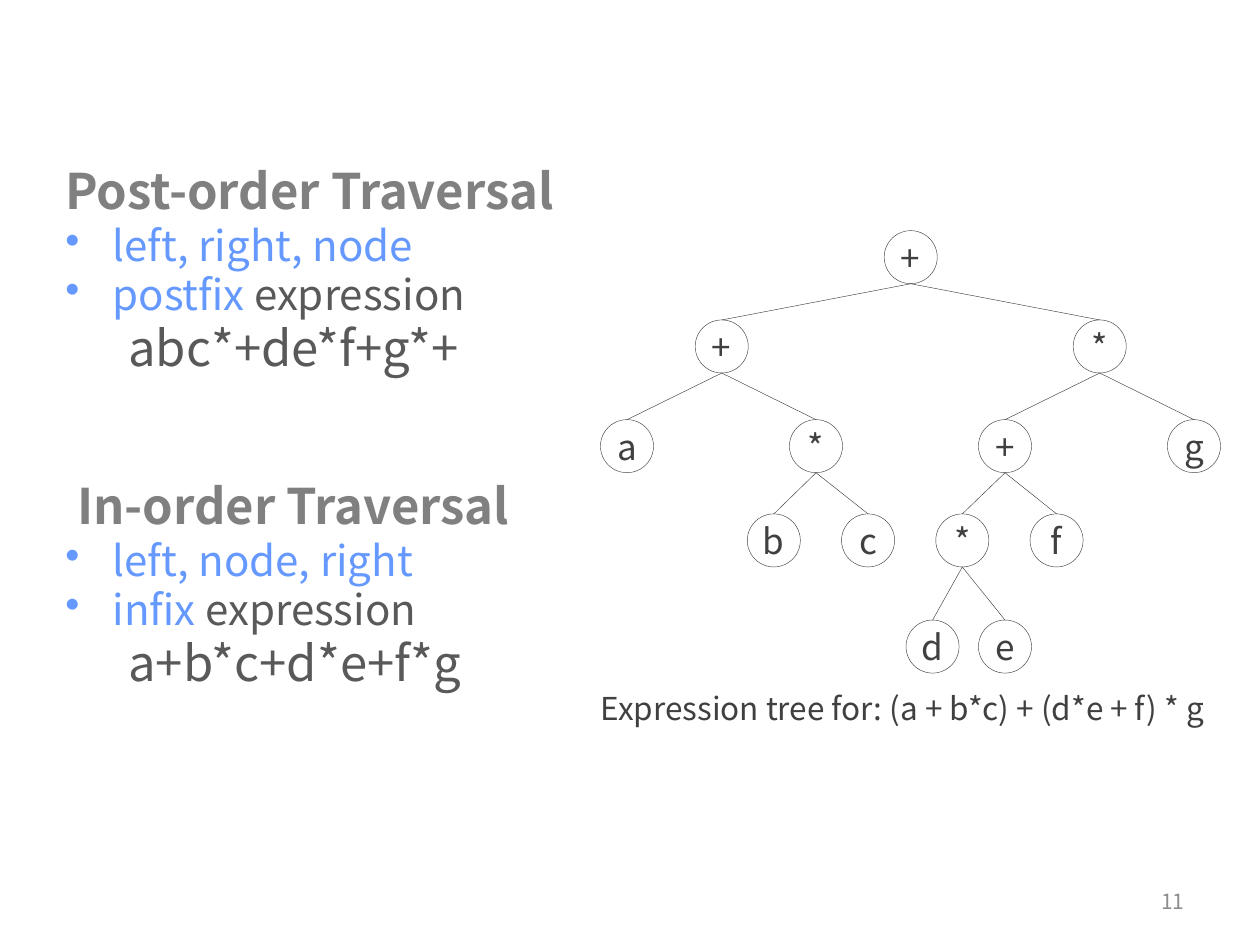
"""Build a slide on post-order and in-order traversal with an expression tree."""
from lxml import etree
from pptx import Presentation
from pptx import util as u
from pptx.dml.color import RGBColor
from pptx.enum import shapes, text
from pptx.oxml import ns

Cm, Pt = u.Cm, u.Pt
FONT = "Noto Sans CJK SC"
HUES = {"head": "808080", "key": "6699FF", "body": "595959",
        "ink": "404040", "page": "8C8C8C"}
ALIGN = text.PP_ALIGN


def write(par, words, size, hue, bold=False, align=ALIGN.LEFT):
    par.alignment = align
    run = par.add_run()
    run.text = words
    run.font.name = FONT
    run.font.size = Pt(size)
    run.font.bold = bold
    run.font.color.rgb = RGBColor.from_string(HUES[hue])


deck = Presentation()
deck.slide_width, deck.slide_height = Cm(25.4), Cm(19.05)
slide = deck.slides.add_slide(deck.slide_layouts[6])
items = slide.shapes

orders = [
    (3.38, 10.8, 6.55, ALIGN.LEFT, "Post-order Traversal",
     "left, right, node", "postfix ", "abc*+de*f+g*+"),
    (9.73, 9.68, 6.78, ALIGN.CENTER, "In-order Traversal",
     "left, node, right", "infix ", "a+b*c+d*e+f*g"),
]
for top, wide, high, align, head, rule, kind, result in orders:
    frame = items.add_textbox(Cm(1.07), Cm(top), Cm(wide), Cm(high)).text_frame
    frame.word_wrap = True
    frame.margin_top = 0
    lines = [
        (0, 0, [(head, 28, "head", True, align)]),
        (0.95, -0.95, [(rule, 24, "key")]),
        (0.95, -0.95, [(kind, 24, "key"), ("expression", 24, "body")]),
        (1.27, 0, [(result, 28, "body")]),
    ]
    for row, (left, hang, runs) in enumerate(lines):
        par = frame.add_paragraph() if row else frame.paragraphs[0]
        props = par._p.get_or_add_pPr()
        props.set("marL", str(Cm(left)))
        props.set("indent", str(Cm(hang)))
        if hang:
            etree.SubElement(props, ns.qn("a:buChar")).set("char", "•")
        par.line_spacing = 0.9
        if row:
            par.space_before = Pt(2.5)
        for run in runs:
            write(par, *run)

SIZE = 1.07
TOPS = [4.65, 6.45, 8.46, 10.36, 12.5]
nodes = [
    ("+", 18.36, 0, None), ("+", 14.55, 1, 0), ("*", 22.17, 1, 0),
    ("a", 12.64, 2, 1), ("*", 16.45, 2, 1),
    ("+", 20.26, 2, 2), ("g", 24.07, 2, 2),
    ("b", 15.6, 3, 4), ("c", 17.5, 3, 4),
    ("*", 19.4, 3, 5), ("f", 21.3, 3, 5),
    ("d", 18.8, 4, 9), ("e", 20.26, 4, 9),
]
ink = RGBColor.from_string(HUES["ink"])
for label, mid, level, root in nodes:
    top = TOPS[level]
    node = items.add_shape(shapes.MSO_SHAPE.OVAL, Cm(mid - SIZE / 2), Cm(top),
                           Cm(SIZE), Cm(SIZE))
    node.shadow.inherit = False
    node.fill.background()
    parts = [node]
    frame = node.text_frame
    frame.word_wrap = False
    frame.vertical_anchor = text.MSO_ANCHOR.MIDDLE
    write(frame.paragraphs[0], label, size=20, hue="ink", align=ALIGN.CENTER)
    if root is not None:
        start, tier = nodes[root][1:3]
        edge = items.add_connector(shapes.MSO_CONNECTOR.STRAIGHT, Cm(start),
                                   Cm(TOPS[tier] + SIZE), Cm(mid), Cm(top))
        etree.SubElement(edge._element.spPr, ns.qn("a:effectLst"))
        parts.append(edge)
    for part in parts:
        part.line.color.rgb = ink
        part.line.width = Pt(0.25)

note = items.add_textbox(Cm(11.86), Cm(13.77), Cm(13), Cm(1.02)).text_frame
note.word_wrap = False
write(note.paragraphs[0], "Expression tree for: (a + b*c) + (d*e + f) * g",
      size=18, hue="ink")

page = items.add_textbox(Cm(18.21), Cm(17.65), Cm(5.92), Cm(1.02)).text_frame
page.word_wrap = True
page.vertical_anchor = text.MSO_ANCHOR.MIDDLE
write(page.paragraphs[0], "11", size=12, hue="page", align=ALIGN.RIGHT)

deck.save("out.pptx")
